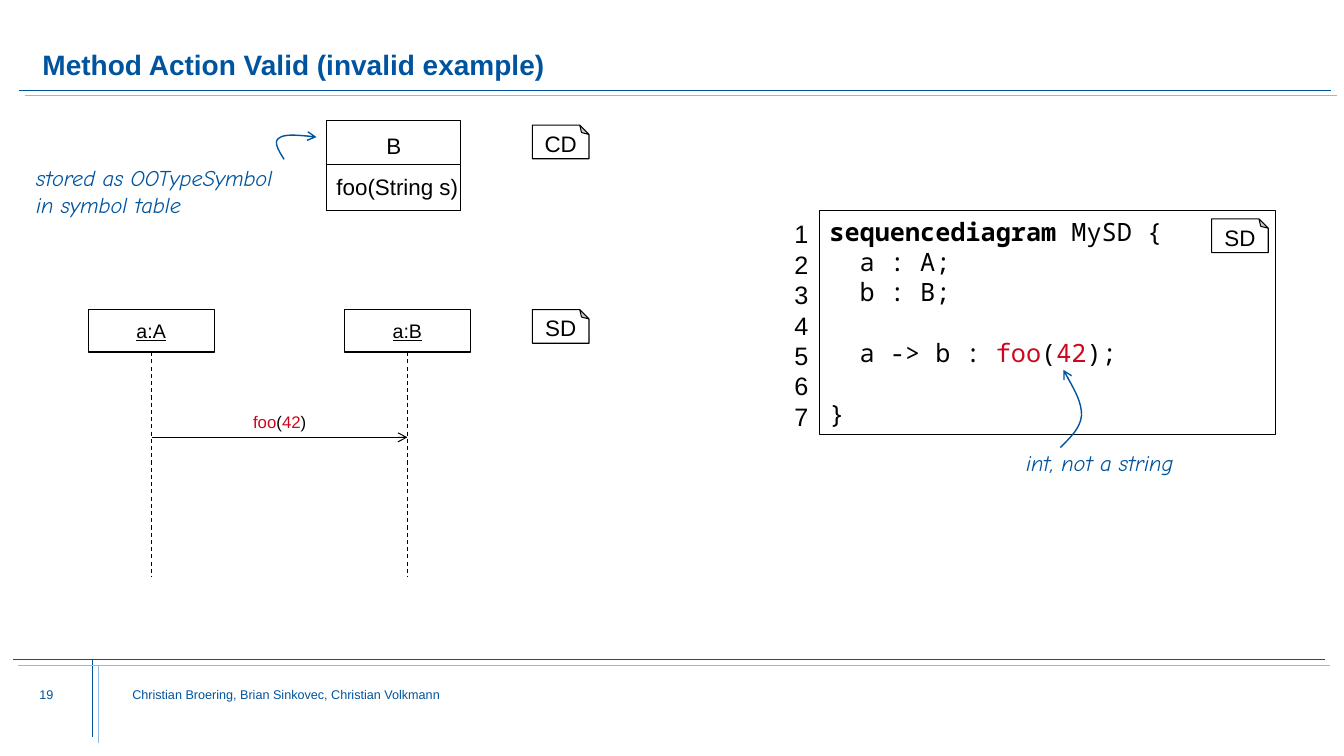
from dataclasses import dataclass
from typing import Optional

from lxml.etree import SubElement
from pptx import Presentation
from pptx.dml.color import RGBColor
from pptx.enum.dml import MSO_LINE_DASH_STYLE as Dash
from pptx.enum.shapes import MSO_CONNECTOR_TYPE as Link, MSO_SHAPE as Preset
from pptx.enum.text import MSO_ANCHOR as Anchor, MSO_AUTO_SIZE as Fit, PP_ALIGN as Align
from pptx.oxml.ns import qn
from pptx.util import Pt

BLUE, PALE, RED, BLACK, WHITE = "00549F", "8EBAE5", "CC071E", "000000", "FFFFFF"
CODE_PITCH = 21.7


@dataclass(frozen=True)
class Area:
    left: float
    top: float
    width: float
    height: float

    def lengths(self) -> list:
        return [Pt(value) for value in (self.left, self.top, self.width, self.height)]


@dataclass(frozen=True)
class Style:
    size: float
    name: str = "Arial"
    color: str = BLACK
    bold: bool = False
    italic: bool = False
    underline: bool = False
    align: Align = Align.LEFT
    spacing: Optional[float] = None


@dataclass(frozen=True)
class Span:
    text: str
    color: str = ""
    bold: bool = False


@dataclass(frozen=True)
class Para:
    spans: tuple
    indent: float = 0
    before: float = 0


@dataclass(frozen=True)
class Label:
    area: Area
    lines: tuple
    style: Style
    grow: bool = True


@dataclass(frozen=True)
class Line:
    start: tuple
    end: tuple
    color: str = BLACK
    width: float = 0.75
    dashed: bool = False
    arrow: bool = False


def rgb(color: str) -> RGBColor:
    return RGBColor.from_string(color)


def plain(text: str) -> Para:
    return Para((Span(text),))


def write(frame, lines: tuple, style: Style) -> None:
    for index, line in enumerate(lines):
        para = frame.paragraphs[0] if index == 0 else frame.add_paragraph()
        para.alignment = style.align
        para.space_before = Pt(line.before)
        if style.spacing:
            para.line_spacing = style.spacing
        if line.indent:
            properties = para._p.get_or_add_pPr()
            properties.set("marL", str(Pt(line.indent)))
            properties.set("indent", "0")
        font = para.font
        font.size, font.name = Pt(style.size), style.name
        font.bold, font.italic, font.underline = style.bold, style.italic, style.underline
        font.color.rgb = rgb(style.color)
        for span in line.spans:
            run = para.add_run()
            run.text = span.text
            if span.bold:
                run.font.bold = True
            if span.color:
                run.font.color.rgb = rgb(span.color)


def clear_margins(frame) -> None:
    frame.margin_left = frame.margin_right = frame.margin_top = frame.margin_bottom = 0


def add_label(page, label: Label) -> None:
    frame = page.shapes.add_textbox(*label.area.lengths()).text_frame
    frame.word_wrap = not label.grow
    if label.grow:
        frame.auto_size = Fit.SHAPE_TO_FIT_TEXT
    else:
        clear_margins(frame)
    write(frame, label.lines, label.style)


def add_box(page, area: Area, fill: str = "", preset: Preset = Preset.RECTANGLE):
    box = page.shapes.add_shape(preset, *area.lengths())
    box.shadow.inherit = False
    if fill:
        box.fill.solid()
        box.fill.fore_color.rgb = rgb(fill)
    else:
        box.fill.background()
    box.line.color.rgb = rgb(BLACK)
    box.line.width = Pt(0.75)
    box.text_frame.word_wrap = False
    box.text_frame.vertical_anchor = Anchor.MIDDLE
    return box


def add_arrowhead(shape) -> None:
    SubElement(shape.line._get_or_add_ln(), qn("a:tailEnd"), type="arrow")


def add_line(page, line: Line) -> None:
    link = page.shapes.add_connector(
        Link.STRAIGHT, *[Pt(value) for value in line.start + line.end])
    link.line.color.rgb = rgb(line.color)
    link.line.width = Pt(line.width)
    if line.dashed:
        link.line.dash_style = Dash.DASH
    if line.arrow:
        add_arrowhead(link)
    SubElement(link._element.spPr, qn("a:effectLst"))


def add_curve(page, points: list) -> None:
    places = [(Pt(x), Pt(y)) for x, y in points]
    builder = page.shapes.build_freeform(*places[0])
    builder.add_line_segments(places[1:], close=False)
    curve = builder.convert_to_shape()
    outline = next(curve._element.iter(qn("a:moveTo"))).getparent()
    steps = outline.findall(qn("a:lnTo"))
    for first in range(0, len(steps), 3):
        bezier = SubElement(outline, qn("a:cubicBezTo"))
        for step in steps[first:first + 3]:
            bezier.append(step[0])
            outline.remove(step)
    curve.fill.background()
    curve.shadow.inherit = False
    curve.line.color.rgb = rgb(BLUE)
    curve.line.width = Pt(1)
    add_arrowhead(curve)


def add_file_tag(page, left: float, top: float, text: str) -> None:
    tag = add_box(page, Area(left, top, 40.5, 24), WHITE, Preset.FOLDED_CORNER)
    guides = next(tag._element.iter(qn("a:avLst")))
    SubElement(guides, qn("a:gd"), name="adj", fmla="val 27600")
    tag._element.spPr.xfrm.set("flipV", "1")
    tag.text_frame._txBody.bodyPr.set("rot", "10800000")
    write(tag.text_frame, (plain(text),), Style(16, align=Align.CENTER, spacing=0.7))


def add_lifeline(page, center: float, text: str) -> None:
    head = add_box(page, Area(center - 45, 221, 90, 30.5), WHITE)
    write(head.text_frame, (plain(text),), Style(14, underline=True, align=Align.CENTER))
    add_line(page, Line((center, 251.5), (center, 412), dashed=True))


def add_code(page) -> None:
    call = (Span("a -> b : "), Span("foo", RED), Span("("), Span("42", RED), Span(");"))
    listing = (
        Para((Span("sequencediagram ", bold=True), Span("MySD {"))),
        Para((Span("a : A;"),), 21.6),
        Para((Span("b : B;"),), 21.6),
        Para(call, 21.6, CODE_PITCH),
        Para((Span("}"),), before=CODE_PITCH),
    )
    box = add_box(page, Area(585.4, 150.6, 325.4, 159.8))
    box.text_frame.vertical_anchor = Anchor.TOP
    write(box.text_frame, listing, Style(18, "Noto Sans Mono", spacing=Pt(CODE_PITCH)))
    numbers = tuple(plain(str(number)) for number in range(1, 8))
    add_label(page, Label(Area(550.8, 152.6, 33.8, 159.8), numbers,
                          Style(18, align=Align.RIGHT, spacing=Pt(CODE_PITCH))))


def main() -> None:
    deck = Presentation()
    deck.slide_width, deck.slide_height = Pt(960), Pt(540)
    page = deck.slides.add_slide(deck.slide_layouts[5])

    title = page.shapes.title
    title.left, title.top, title.width, title.height = Area(30.3, 15.8, 904.3, 42.5).lengths()
    clear_margins(title.text_frame)
    title.text_frame.auto_size = Fit.NONE
    title.text_frame.vertical_anchor = Anchor.BOTTOM
    write(title.text_frame, (plain("Method Action Valid (invalid example)"),),
          Style(20, color=BLUE, bold=True, spacing=0.9))

    for color, shift in ((BLUE, 0), (PALE, 4)):
        for left, top in ((13.8, 64.4), (9.2, 471)):
            add_line(page, Line((left + shift, top + shift),
                                (left + shift + 937, top + shift), color, 0.5))
        add_line(page, Line((66.3 + shift, 471 + shift), (66.3 + shift, 526.5 + shift), color, 0.5))

    add_code(page)
    for left, top, text in ((865.4, 156.4, "SD"), (380.2, 221.2, "SD"), (380.2, 89.4, "CD")):
        add_file_tag(page, left, top, text)
    for center, text in ((108, "a:A"), (291, "a:B")):
        add_lifeline(page, center, text)
    add_line(page, Line((108.6, 312.4), (291, 312.4), arrow=True))
    for area in (Area(233.3, 86.3, 95.8, 64.4), Area(233.3, 117.4, 95.8, 33.3)):
        add_box(page, area)

    footer = Style(9, color=BLUE)
    remark = Style(16, "Comic Neue", BLUE, italic=True)
    message = (Span("foo", RED), Span("("), Span("42", RED), Span(")"))
    authors = plain("Christian Broering, Brian Sinkovec, Christian Volkmann")
    stored = (plain("stored as OOTypeSymbol"), plain("in symbol table"))
    for label in (
        Label(Area(94.5, 490.3, 552, 49.7), (authors,), footer, False),
        Label(Area(28.2, 490.3, 57.6, 31), (plain("19"),), footer, False),
        Label(Area(268.6, 90.7, 25.2, 26.6), (plain("B"),), Style(16, align=Align.CENTER)),
        Label(Area(233.3, 120.2, 103, 26.6), (plain("foo(String s)"),), Style(16)),
        Label(Area(173.5, 290.9, 52.6, 21.6), (Para(message),), Style(12, align=Align.CENTER)),
        Label(Area(18.7, 113.8, 207.4, 46), stored, remark),
        Label(Area(725.8, 317.5, 131.8, 26.6), (plain("int, not a string"),), remark),
    ):
        add_label(page, label)

    add_curve(page, [(203, 113.8), (198.7, 107.3), (195.1, 100.8), (199.4, 98.6),
                     (203, 95.8), (214.6, 96.5), (226.1, 97.9)])
    add_curve(page, [(757.4, 319.7), (764.6, 312.5), (771.8, 306), (772.6, 296.6),
                     (772.6, 287.3), (766.1, 275.8), (759.6, 264.2)])
    deck.save("out.pptx")


if __name__ == "__main__":
    main()
